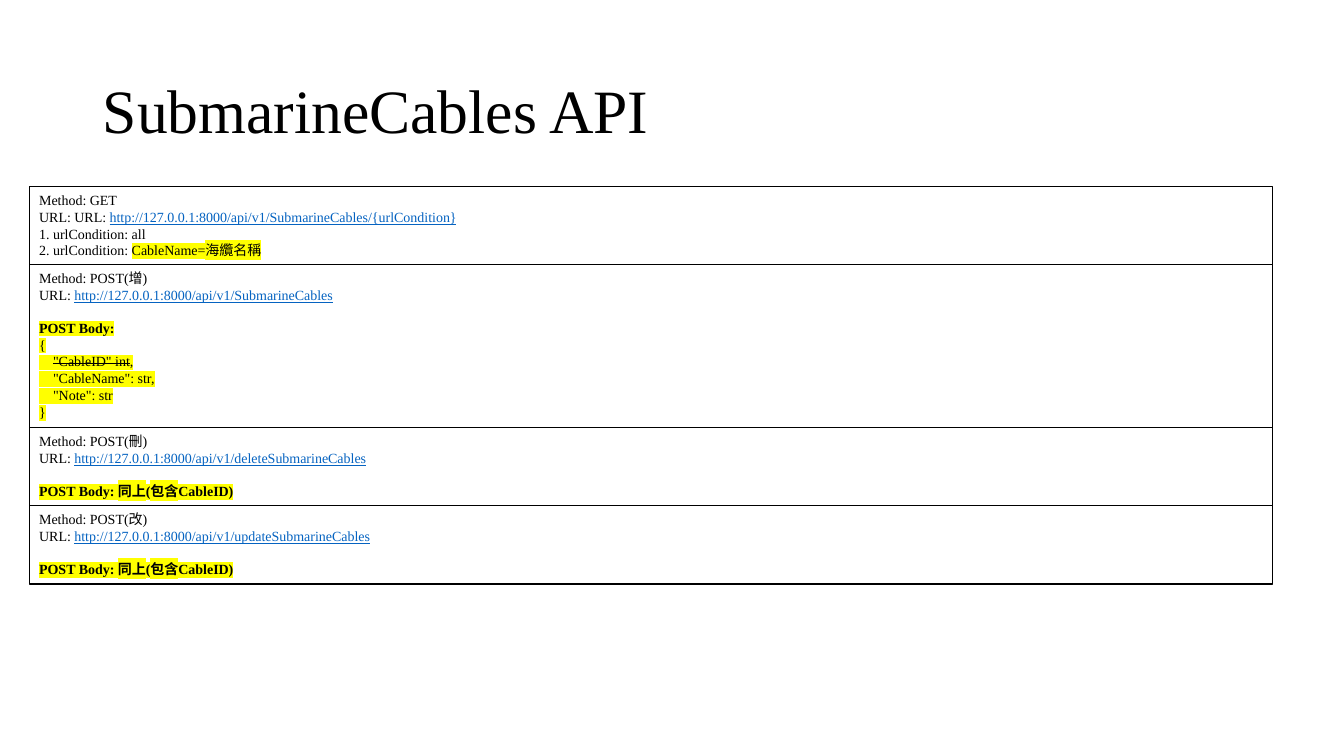
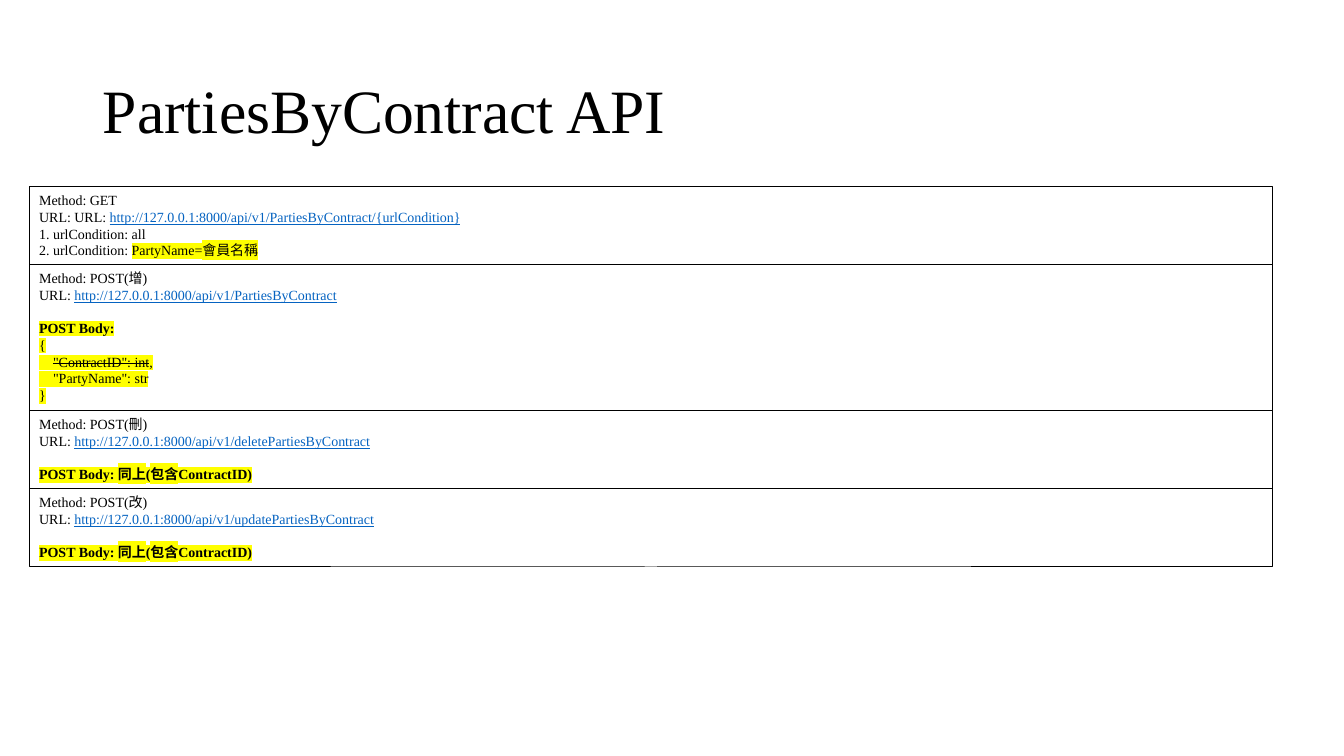
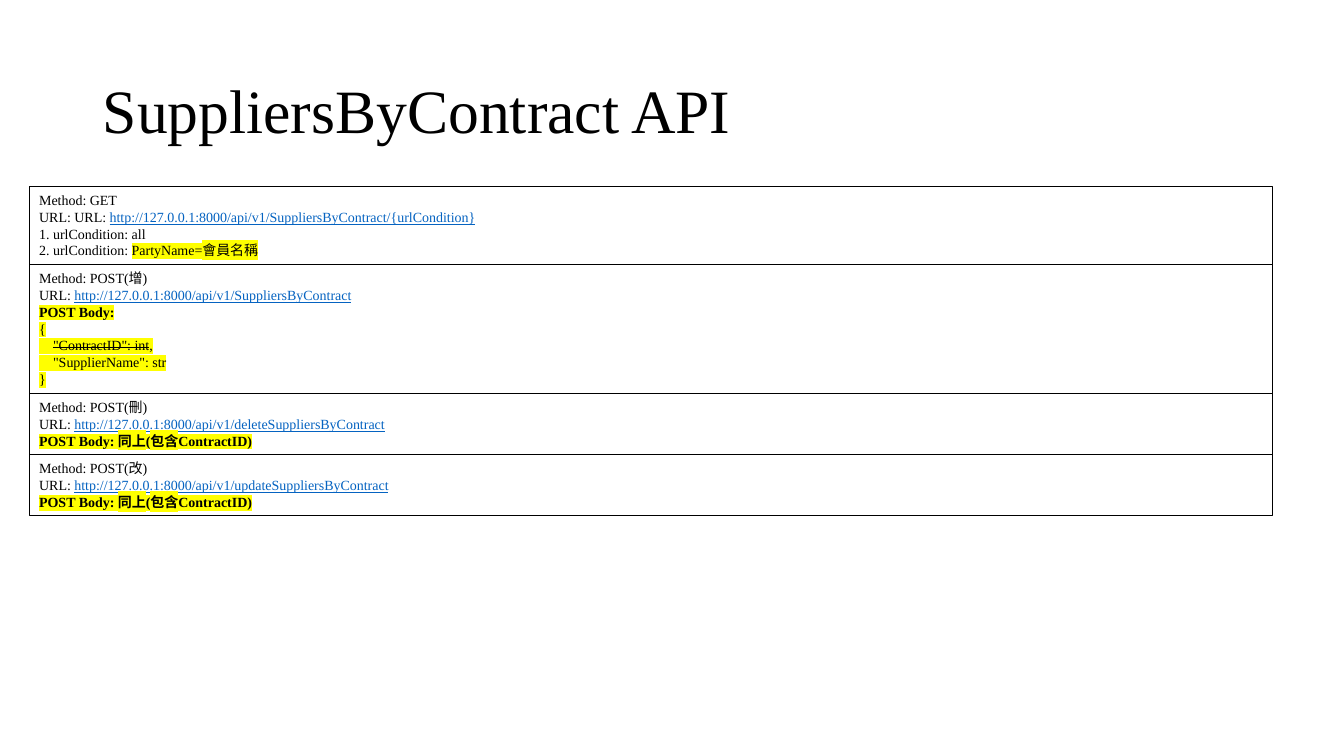
from pptx import Presentation
from pptx.dml.color import RGBColor
from pptx.enum.shapes import MSO_SHAPE
from pptx.enum.text import MSO_ANCHOR, MSO_AUTO_SIZE, PP_ALIGN
from pptx.oxml.ns import qn
from pptx.util import Inches, Pt
from lxml import etree

RECTANGLE = MSO_SHAPE.RECTANGLE
LEFT, TOP, MIDDLE = PP_ALIGN.LEFT, MSO_ANCHOR.TOP, MSO_ANCHOR.MIDDLE
FIT_SHAPE, NO_FIT = MSO_AUTO_SIZE.SHAPE_TO_FIT_TEXT, MSO_AUTO_SIZE.NONE

COLORS = {"text": "000000", "link": "0563C1", "mark": "FFFF00"}
FONT = "Times New Roman"
BASE_URL = "http://127.0.0.1:8000/api/v1/"

# condition: the query key and its value; fields: the first one is struck out
APIS = [
    {"name": "SubmarineCables", "condition": "CableName=海纜名稱", "id": "CableID",
     "fields": ['"CableID" int', '"CableName": str', '"Note": str'], "spaced": True},
    {"name": "PartiesByContract", "condition": "PartyName=會員名稱", "id": "ContractID",
     "fields": ['"ContractID": int', '"PartyName": str'], "spaced": True},
    {"name": "SuppliersByContract", "condition": "PartyName=會員名稱", "id": "ContractID",
     "fields": ['"ContractID": int', '"SupplierName": str'], "spaced": False},
]

SLIDE_SIZE = Inches(13.33), Inches(7.5)
TITLE_AREA = Inches(0.92), Inches(0.4), Inches(11.5), Inches(1.45)
BOX_LEFT, BOX_TOP, BOX_WIDTH = Inches(0.29), Inches(1.85), Inches(12.33)
LINE_HEIGHT, BOX_PADDING = Pt(12.15), Inches(0.1)
BODY_GAP = Pt(11.5)


def get_lines(api):
    return [
        [("Method: GET", "plain")],
        [("URL: URL: ", "plain"), (BASE_URL + api["name"] + "/{urlCondition}", "link")],
        [("1. urlCondition: all", "plain")],
        [("2. urlCondition: ", "plain"), (api["condition"], "mark")],
    ]


def post_lines(action, prefix, api, body):
    return [
        [(f"Method: POST({action})", "plain")],
        [("URL: ", "plain"), (BASE_URL + prefix + api["name"], "link")],
        *body,
    ]


def api_boxes(api):
    """Return the lines of the four boxes: read, add, delete, change."""
    struck, *kept = api["fields"]
    new_body = [
        [("POST Body:", "heading")],
        [("{", "mark")],
        [("    ", "mark"), (struck, "struck"), (",", "mark")],
        *[[(f"    {field},", "mark")] for field in kept[:-1]],
        [(f"    {kept[-1]}", "mark")],
        [("}", "mark")],
    ]
    same_body = [[(f"POST Body: 同上(包含{api['id']})", "heading")]]
    return [
        get_lines(api),
        post_lines("增", "", api, new_body),
        post_lines("刪", "delete", api, same_body),
        post_lines("改", "update", api, same_body),
    ]


def add_span(para, text, style):
    span = para.add_run()
    span.text = text
    color = COLORS["link" if style == "link" else "text"]
    span.font.color.rgb = RGBColor.from_string(color)
    if style == "link":
        span.font.underline = True
    if style == "heading":
        span.font.bold = True
    properties = span._r.get_or_add_rPr()
    if style == "struck":
        properties.set("strike", "sngStrike")
    if style in ("mark", "heading", "struck"):
        highlight = etree.Element(qn("a:highlight"))
        etree.SubElement(highlight, qn("a:srgbClr"), val=COLORS["mark"])
        properties.find(qn("a:solidFill")).addnext(highlight)


def add_box(page, top, lines, spaced):
    """Draw one outlined box and return its bottom edge."""
    gaps = [spaced and line[0][1] == "heading" for line in lines]
    height = BOX_PADDING + LINE_HEIGHT * (len(lines) + sum(gaps))
    box = page.shapes.add_shape(RECTANGLE, BOX_LEFT, top, BOX_WIDTH, height)
    box.shadow.inherit = False
    box.fill.background()
    box.line.color.rgb = RGBColor.from_string(COLORS["text"])
    box.line.width = Pt(0.75)
    frame = box.text_frame
    frame.word_wrap = True
    frame.auto_size = FIT_SHAPE
    frame.vertical_anchor = TOP
    for index, (line, gap) in enumerate(zip(lines, gaps)):
        para = frame.add_paragraph() if index else frame.paragraphs[0]
        para.alignment = LEFT
        if gap:
            para.space_before = BODY_GAP
        para.font.name = FONT
        para.font.size = Pt(10)
        for text, style in line:
            add_span(para, text, style)
    return top + height


def set_title(page, text):
    title = page.shapes.title
    title.text = text
    title.text_frame.auto_size = NO_FIT
    title.text_frame.vertical_anchor = MIDDLE
    para = title.text_frame.paragraphs[0]
    para.alignment = LEFT
    para.line_spacing = 0.9
    para.font.name = FONT
    para.font.size = Pt(44)
    para.font.color.rgb = RGBColor.from_string(COLORS["text"])


def main():
    deck = Presentation()
    deck.slide_width, deck.slide_height = SLIDE_SIZE
    layout = deck.slide_layouts.get_by_name("Title Only")
    heading = layout.placeholders[0]
    heading.left, heading.top, heading.width, heading.height = TITLE_AREA
    for api in APIS:
        page = deck.slides.add_slide(layout)
        set_title(page, f"{api['name']} API")
        top = BOX_TOP
        for lines in api_boxes(api):
            top = add_box(page, top, lines, api["spaced"])
    deck.save("out.pptx")


if __name__ == "__main__":
    main()
